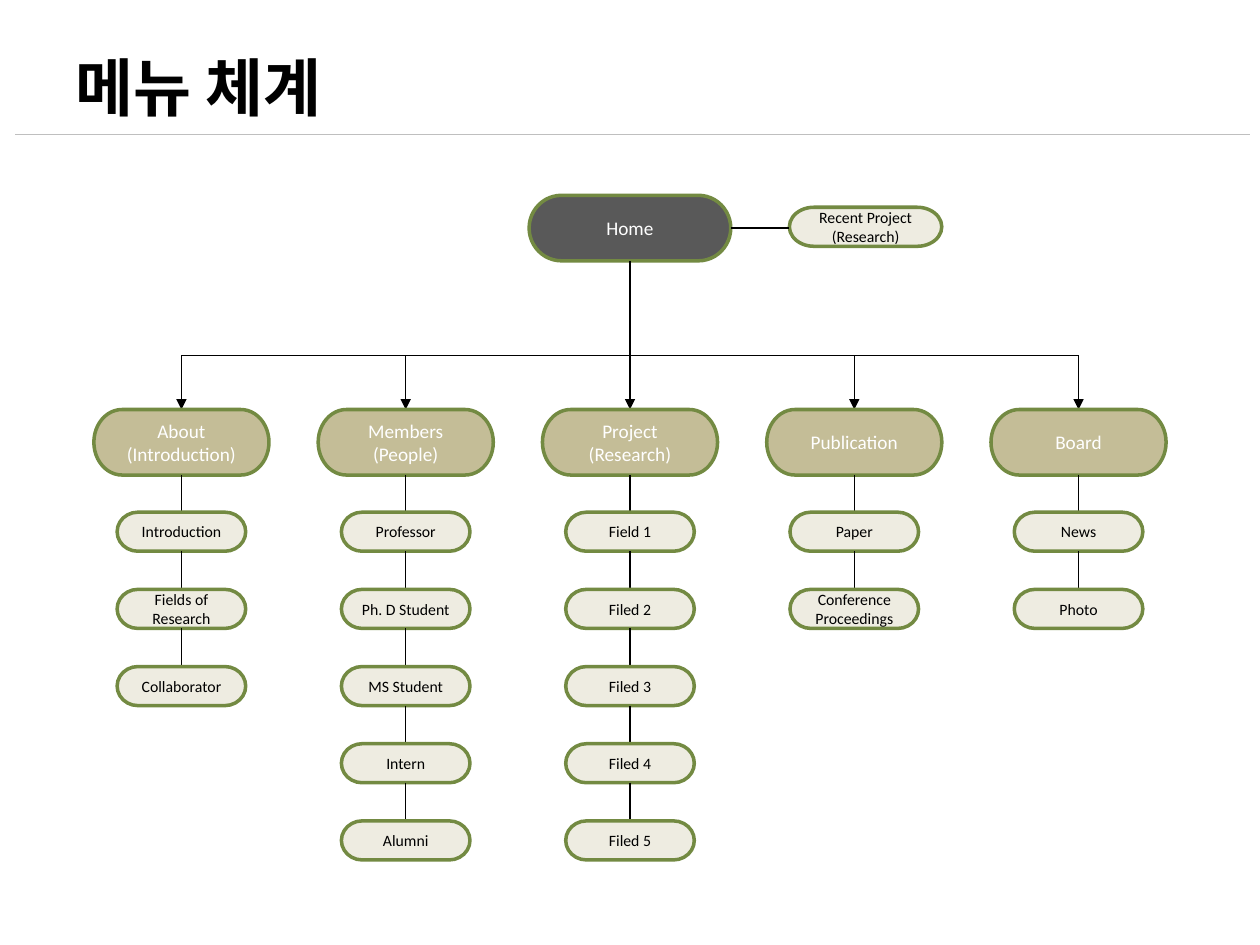
from lxml.etree import SubElement
from pptx import Presentation
from pptx.dml.color import RGBColor
from pptx.enum.shapes import MSO_CONNECTOR as CONN, MSO_SHAPE as SHAPE
from pptx.enum.text import MSO_ANCHOR as ANCHOR, PP_ALIGN as ALIGN
from pptx.oxml.ns import qn
from pptx.util import Inches, Pt

TITLE = "메뉴 체계"
HOME = "Home"
SIDE_NOTE = "Recent Project\n(Research)"
MENUS = [
    ("About\n(Introduction)", ["Introduction", "Fields of\nResearch", "Collaborator"]),
    ("Members\n(People)", ["Professor", "Ph. D Student", "MS Student", "Intern", "Alumni"]),
    ("Project\n(Research)", ["Field 1", "Filed 2", "Filed 3", "Filed 4", "Filed 5"]),
    ("Publication", ["Paper", "Conference Proceedings"]),
    ("Board", ["News", "Photo"]),
]

COLORS = {
    "home": "595959", "menu": "C4BD97", "item": "EEECE1", "border": "738A42",
    "black": "000000", "white": "FFFFFF", "rule": "BFBFBF",
}
# kind: (width, height, font size, font colour)
NODES = {
    "home": (1.6, 0.52, 11, "white"),
    "menu": (1.39, 0.52, 11, "white"),
    "item": (1.02, 0.31, 9, "black"),
}

CENTER_X, COLUMN_GAP = 5, 1.78
HOME_Y, BUS_Y, MENU_Y = 1.81, 2.82, 3.51
ITEM_Y, ITEM_GAP = 4.22, 0.6125
NOTE_X, NOTE_W = 6.87, 1.21


def rgb(name):
    return RGBColor.from_string(COLORS[name])


def add_text(p, text, size, color, font="Calibri", bold=False):
    """Add one run per line of text, with line breaks between them."""
    for i, line in enumerate(text.split("\n")):
        if i:
            p.add_line_break()
        r = p.add_run()
        r.text = line
        r.font.size, r.font.name, r.font.bold = Pt(size), font, bold
        r.font.color.rgb = rgb(color)
        SubElement(r.font._element, qn("a:ea"), typeface=font)


def add_title(slide):
    s = slide.shapes.add_textbox(Inches(0.5), Inches(0.3), Inches(9), Inches(0.77))
    tf = s.text_frame
    tf.word_wrap = True
    tf.vertical_anchor = ANCHOR.MIDDLE
    add_text(tf.paragraphs[0], TITLE, 36, "black", "Noto Sans CJK KR", True)


def add_node(slide, kind, text, x, y, width=None):
    """Add a menu node centred on (x, y)."""
    w, h, size, color = NODES[kind]
    w = width or w
    s = slide.shapes.add_shape(SHAPE.FLOWCHART_TERMINATOR, Inches(x - w / 2),
                               Inches(y - h / 2), Inches(w), Inches(h))
    s.shadow.inherit = False
    s.fill.solid()
    s.fill.fore_color.rgb = rgb(kind)
    s.line.color.rgb = rgb("border")
    s.line.width = Pt(2)
    tf = s.text_frame
    tf.word_wrap = True
    tf.vertical_anchor = ANCHOR.MIDDLE
    tf.margin_left = tf.margin_right = tf.margin_top = tf.margin_bottom = Inches(0.02)
    p = tf.paragraphs[0]
    p.alignment = ALIGN.CENTER
    add_text(p, text, size, color)


def add_line(slide, x1, y1, x2, y2, color="black", width=0.75, arrow=False):
    s = slide.shapes.add_connector(CONN.STRAIGHT, Inches(x1), Inches(y1),
                                   Inches(x2), Inches(y2))
    s.line.color.rgb = rgb(color)
    s.line.width = Pt(width)
    if arrow:
        SubElement(s.line._get_or_add_ln(), qn("a:tailEnd"), type="triangle")
    SubElement(s._element.spPr, qn("a:effectLst"))


def add_column(slide, x, menu, items):
    """Add a menu, its items below it and the lines that link them."""
    menu_h, item_h = NODES["menu"][1], NODES["item"][1]
    add_line(slide, x, BUS_Y, x, MENU_Y - menu_h / 2, arrow=True)
    add_node(slide, "menu", menu, x, MENU_Y)
    bottom = MENU_Y + menu_h / 2
    for i, item in enumerate(items):
        y = ITEM_Y + i * ITEM_GAP
        add_line(slide, x, bottom, x, y - item_h / 2)
        add_node(slide, "item", item, x, y)
        bottom = y + item_h / 2


def main():
    prs = Presentation()
    prs.slide_width, prs.slide_height = Inches(10), Inches(7.5)
    slide = prs.slides.add_slide(prs.slide_layouts[6])

    add_line(slide, 0.12, 1.07, 9.92, 1.07, "rule", 0.5)
    add_title(slide)

    home_w, home_h = NODES["home"][:2]
    add_node(slide, "home", HOME, CENTER_X, HOME_Y)
    add_node(slide, "item", SIDE_NOTE, NOTE_X, HOME_Y - 0.01, NOTE_W)
    add_line(slide, CENTER_X + home_w / 2, HOME_Y, NOTE_X - NOTE_W / 2, HOME_Y)
    add_line(slide, CENTER_X, HOME_Y + home_h / 2, CENTER_X, BUS_Y)

    middle = (len(MENUS) - 1) / 2
    columns = [CENTER_X + (i - middle) * COLUMN_GAP for i in range(len(MENUS))]
    add_line(slide, columns[0], BUS_Y, columns[-1], BUS_Y)
    for x, (menu, items) in zip(columns, MENUS):
        add_column(slide, x, menu, items)

    prs.save("out.pptx")


if __name__ == "__main__":
    main()
